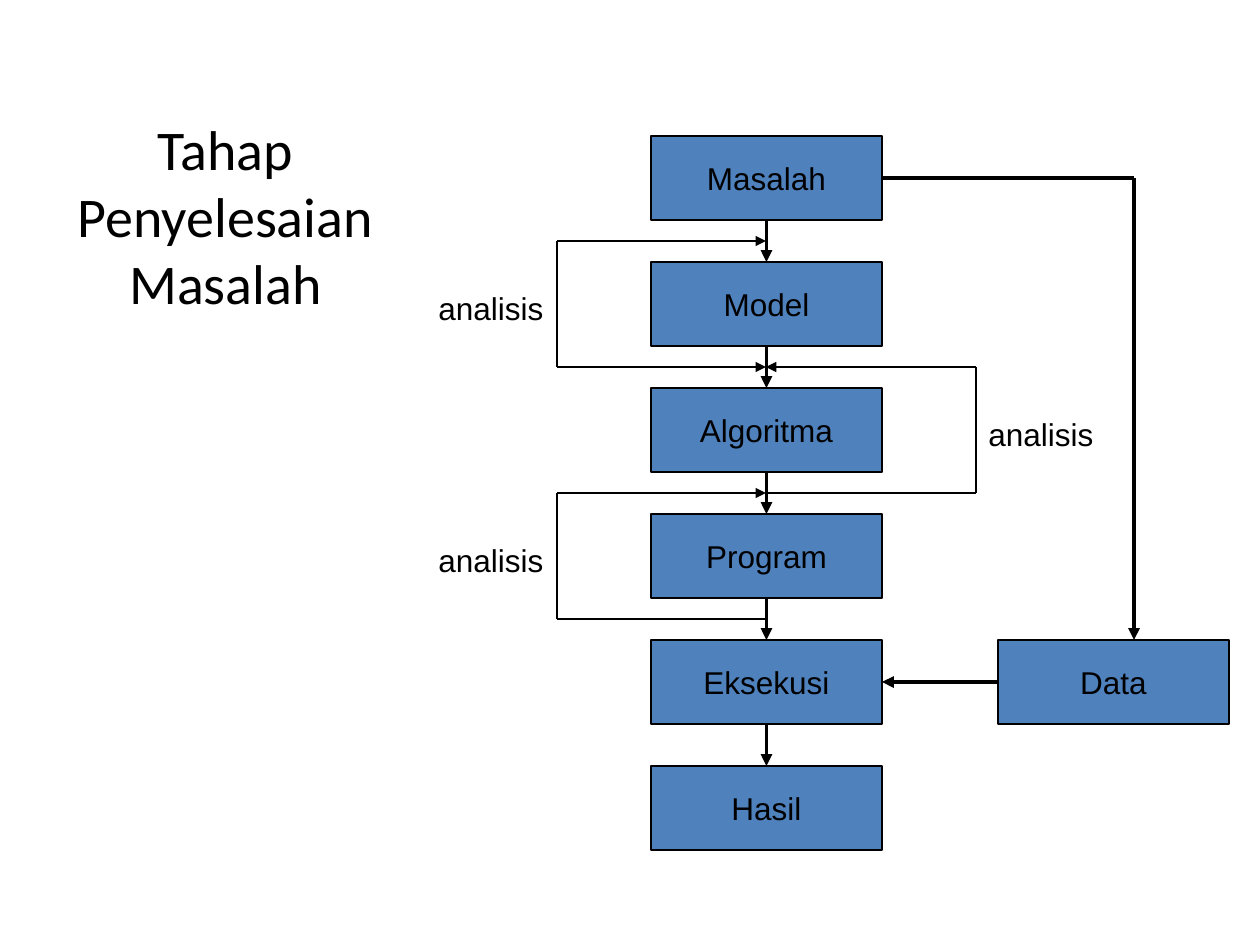
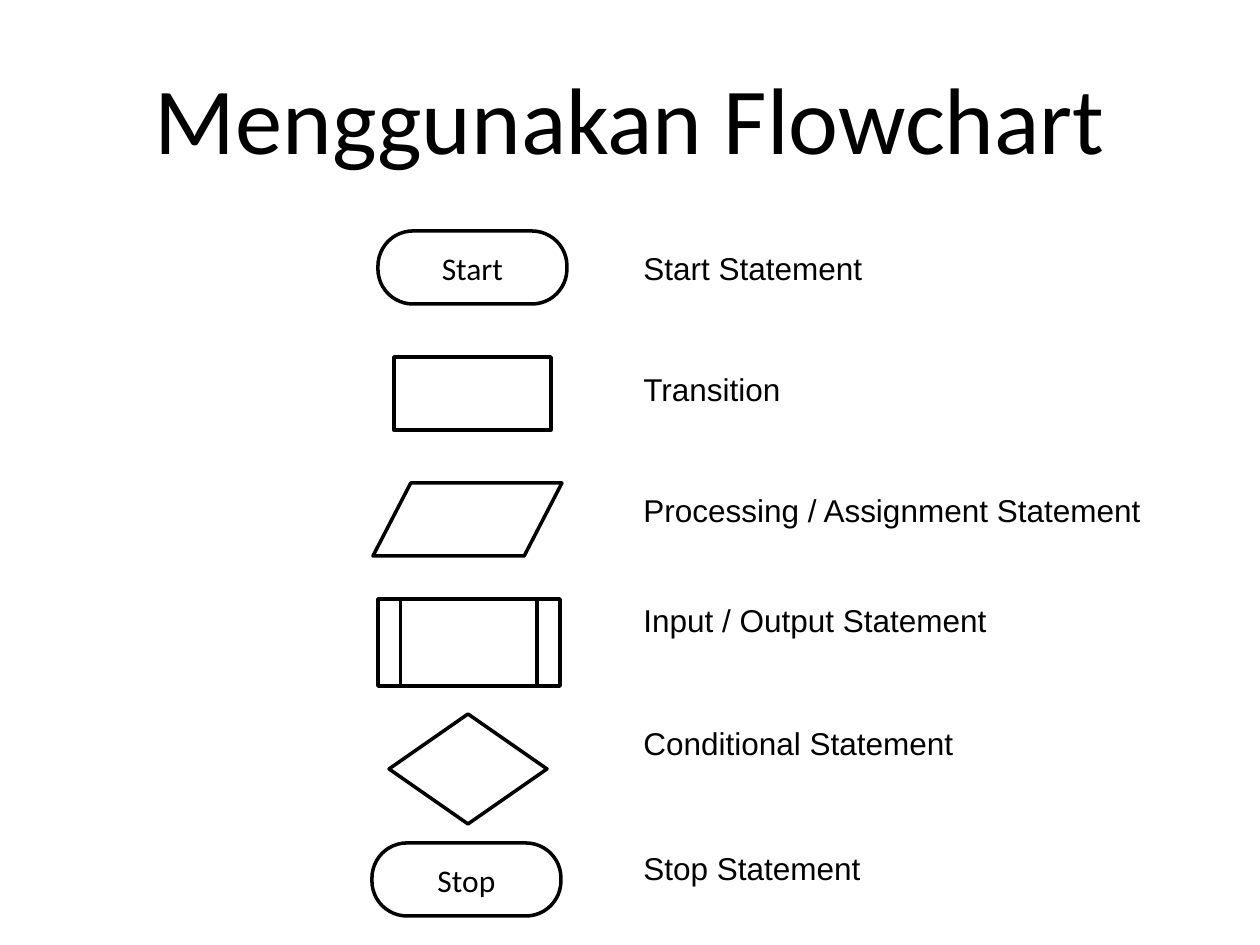
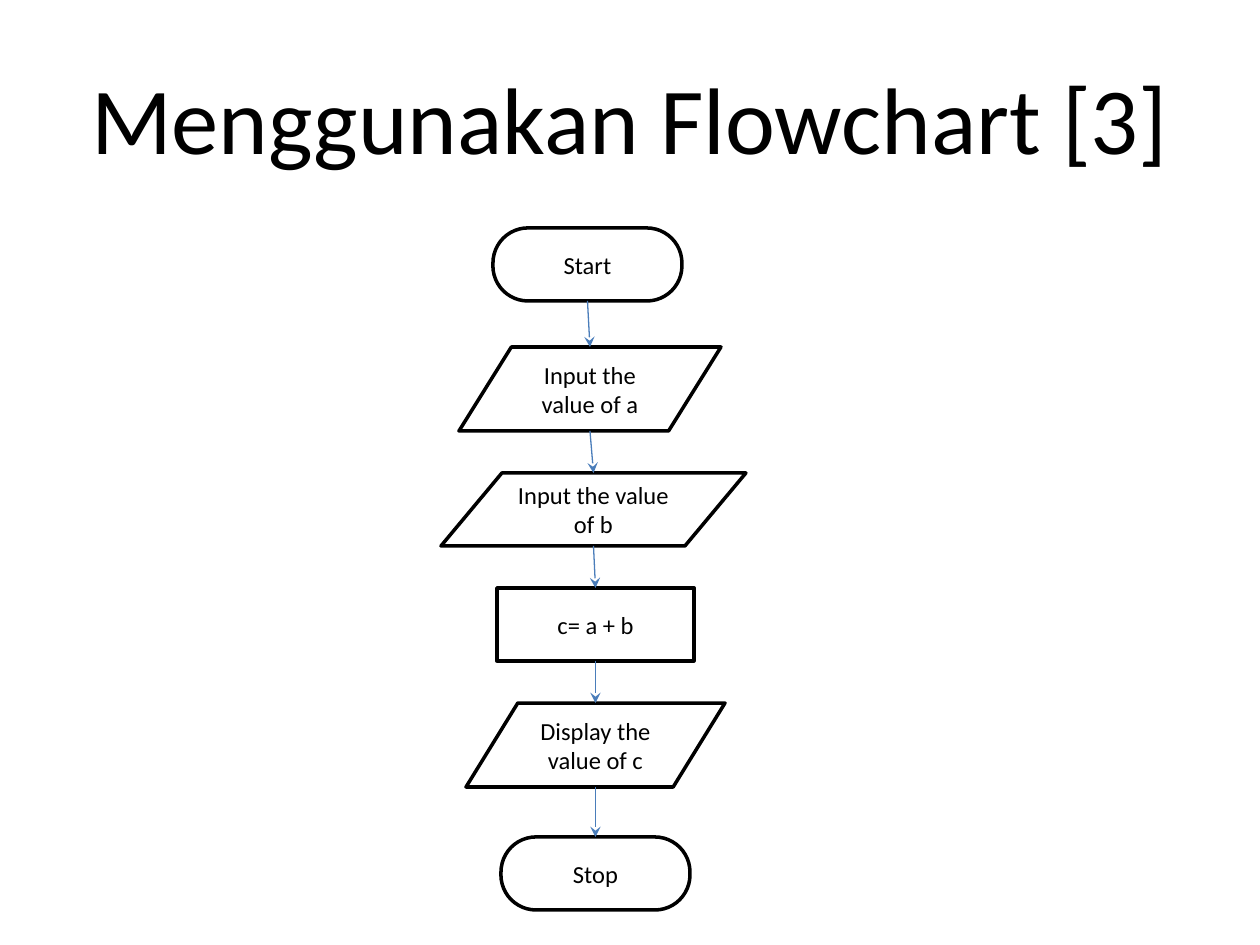
from dataclasses import dataclass
from itertools import pairwise

from lxml.etree import SubElement
from pptx import Presentation
from pptx.dml.color import RGBColor
from pptx.enum.shapes import MSO_CONNECTOR as Connector, MSO_SHAPE as Shape
from pptx.enum.text import MSO_ANCHOR as Anchor, MSO_AUTO_SIZE as AutoSize, PP_ALIGN as Align
from pptx.oxml.ns import qn
from pptx.util import Emu, Pt

EMU_PER_PX = 914400 / 126
TOP, LEFT, BOTTOM, RIGHT = range(4)
RECTANGULAR = (Shape.RECTANGLE, Shape.ROUNDED_RECTANGLE)


@dataclass(frozen=True)
class Theme:
    """Colours, fonts, type sizes and line widths of the deck."""
    ink: RGBColor = RGBColor(0, 0, 0)
    paper: RGBColor = RGBColor(255, 255, 255)
    stage: RGBColor = RGBColor(0x4F, 0x81, 0xBD)
    flow: RGBColor = RGBColor(0x4A, 0x7D, 0xBA)
    heading_font: str = "Calibri"
    label_font: str = "Arial"
    title_size: int = 54
    side_title_size: int = 32
    label_size: int = 18
    step_size: int = 14
    thin: float = 0.75
    outline: float = 2
    thick: float = 2.25


THEME = Theme()


def px(length):
    """Convert a length in px to EMU."""
    return Emu(round(length * EMU_PER_PX))


def point(x, y):
    """Convert a position in px to EMU."""
    return px(x), px(y)


def apply_format(target, values):
    """Set each attribute in a dict of format values."""
    for name, value in values.items():
        setattr(target, name, value)


def write_text(shape, text, font, size, align=Align.CENTER, **frame_values):
    """Write one formatted paragraph into a shape."""
    frame = shape.text_frame
    apply_format(frame, {"word_wrap": True, "vertical_anchor": Anchor.MIDDLE, **frame_values})
    paragraph = frame.paragraphs[0]
    paragraph.text = text
    paragraph.alignment = align
    apply_format(paragraph.font, {"name": font, "size": Pt(size)})
    paragraph.font.color.rgb = THEME.ink


def add_title(slide, text, box=(63, 38, 1134, 158), size=THEME.title_size):
    """Add a centred slide title."""
    title = slide.shapes.add_textbox(*map(px, box))
    write_text(title, text, THEME.heading_font, size)


def add_label(slide, text, x, y, width):
    """Add a left-aligned label that fits its text."""
    label = slide.shapes.add_textbox(*map(px, (x, y, width, 51)))
    write_text(label, text, THEME.label_font, THEME.label_size, Align.LEFT, word_wrap=False,
               vertical_anchor=Anchor.TOP, auto_size=AutoSize.SHAPE_TO_FIT_TEXT)


def add_node(slide, kind, box, text="", fill=THEME.paper, width=THEME.outline,
             font=THEME.heading_font, size=THEME.label_size):
    """Add an outlined flowchart node."""
    node = slide.shapes.add_shape(kind, *map(px, box))
    node.shadow.inherit = False
    node.fill.solid()
    node.fill.fore_color.rgb = fill
    node.line.color.rgb = THEME.ink
    node.line.width = Pt(width)
    if kind == Shape.ROUNDED_RECTANGLE:
        node.adjustments[0] = 0.48
    if text:
        write_text(node, text, font, size)
    return node


def add_line(slide, start, end, width=THEME.thin, color=THEME.ink, arrow=None):
    """Add a straight line, with an arrowhead at its end if one is named."""
    line = slide.shapes.add_connector(Connector.STRAIGHT, *start, *end)
    line.line.color.rgb = color
    line.line.width = Pt(width)
    properties = line._element.spPr
    if arrow:
        SubElement(properties.find(qn("a:ln")), qn("a:tailEnd"), type=arrow)
    SubElement(properties, qn("a:effectLst"))
    return line


def side_middle(node, side):
    """Give the middle of one side of a node."""
    across = {LEFT: 0, RIGHT: node.width}.get(side, node.width // 2)
    down = {TOP: 0, BOTTOM: node.height}.get(side, node.height // 2)
    return node.left + across, node.top + down


def link(slide, source, target, sides=(BOTTOM, TOP), **style):
    """Link two nodes with an arrow, joined to the rectangular ones."""
    line = add_line(slide, side_middle(source, sides[0]), side_middle(target, sides[1]), **style)
    if source.auto_shape_type in RECTANGULAR:
        line.begin_connect(source, sides[0])
    if target.auto_shape_type in RECTANGULAR:
        line.end_connect(target, sides[1])


def add_loop(slide, trunk_x, side_x, top, bottom, bottom_arrow):
    """Add an analysis loop beside the trunk."""
    add_line(slide, point(side_x, top), point(trunk_x, top), arrow="triangle")
    add_line(slide, point(side_x, bottom), point(trunk_x, bottom), arrow=bottom_arrow)
    add_line(slide, point(side_x, top), point(side_x, bottom))


def build_stages(slide):
    """Draw the stages of solving a problem."""
    add_title(slide, "Tahap Penyelesaian Masalah", (32, 94, 387, 242), THEME.side_title_size)
    left, top, width, height, pitch = 651, 136, 231, 84, 126
    stage_style = {"fill": THEME.stage, "width": THEME.thin, "font": THEME.label_font}
    arrow_style = {"width": THEME.thick, "arrow": "triangle"}
    names = ("Masalah", "Model", "Algoritma", "Program", "Eksekusi", "Hasil")
    stages = [add_node(slide, Shape.RECTANGLE, (left, top + row * pitch, width, height),
                       name, **stage_style) for row, name in enumerate(names)]
    data_top = top + 4 * pitch
    data = add_node(slide, Shape.RECTANGLE, (998, data_top, width, height), "Data", **stage_style)

    for source, target in pairwise(stages):
        link(slide, source, target, **arrow_style)
    link(slide, data, stages[4], (LEFT, RIGHT), **arrow_style)
    corner = point(1134, top + height // 2)
    branch = add_line(slide, side_middle(stages[0], RIGHT), corner, THEME.thick)
    branch.begin_connect(stages[0], RIGHT)
    add_line(slide, corner, point(1134, data_top), **arrow_style)

    first_gap = top + (height + pitch) // 2
    loops = ((0, 557, 426, "triangle"), (1, 976, 976, None), (2, 557, 426, None))
    for row, side_x, label_x, bottom_arrow in loops:
        loop_top = first_gap + row * pitch
        add_loop(slide, left + width // 2, side_x, loop_top, loop_top + pitch, bottom_arrow)
        add_label(slide, "analisis", label_x, loop_top + 42, 130)


def build_symbols(slide):
    """Draw the flowchart symbols beside their meanings."""
    add_title(slide, "Menggunakan Flowchart")
    symbols = (
        (Shape.ROUNDED_RECTANGLE, (378, 231, 189, 73), "Start", "Start Statement", 243, 246),
        (Shape.RECTANGLE, (394, 357, 157, 73), "", "Transition", 364, 164),
        (Shape.FLOWCHART_DATA, (373, 483, 189, 73), "",
         "Processing / Assignment Statement", 485, 528),
        (Shape.FLOWCHART_PREDEFINED_PROCESS, (378, 599, 182, 87), "",
         "Input / Output Statement", 595, 372),
        (Shape.FLOWCHART_DECISION, (389, 714, 158, 110), "", "Conditional Statement", 718, 339),
        (Shape.ROUNDED_RECTANGLE, (372, 843, 189, 73), "Stop", "Stop Statement", 843, 244),
    )
    for kind, box, text, meaning, label_top, label_width in symbols:
        add_node(slide, kind, box, text)
        add_label(slide, meaning, 631, label_top, label_width)


def build_sum_flow(slide):
    """Draw the flowchart that adds two values."""
    add_title(slide, "Menggunakan Flowchart [3]")
    steps = (
        (Shape.ROUNDED_RECTANGLE, (493, 228, 189, 73), "Start"),
        (Shape.FLOWCHART_DATA, (459, 347, 262, 84), "Input the value of a"),
        (Shape.FLOWCHART_DATA, (441, 473, 305, 73), "Input the value of b"),
        (Shape.RECTANGLE, (497, 588, 197, 73), "c= a + b"),
        (Shape.FLOWCHART_DATA, (466, 703, 259, 84), "Display the value of c"),
        (Shape.ROUNDED_RECTANGLE, (501, 837, 189, 73), "Stop"),
    )
    nodes = [add_node(slide, *step, size=THEME.step_size) for step in steps]
    for source, target in pairwise(nodes):
        link(slide, source, target, color=THEME.flow, arrow="stealth")


def main():
    """Build and save the presentation."""
    presentation = Presentation()
    apply_format(presentation, {"slide_width": px(1260), "slide_height": px(945)})
    for build in (build_stages, build_symbols, build_sum_flow):
        build(presentation.slides.add_slide(presentation.slide_layouts[6]))
    presentation.save("out.pptx")


if __name__ == "__main__":
    main()
